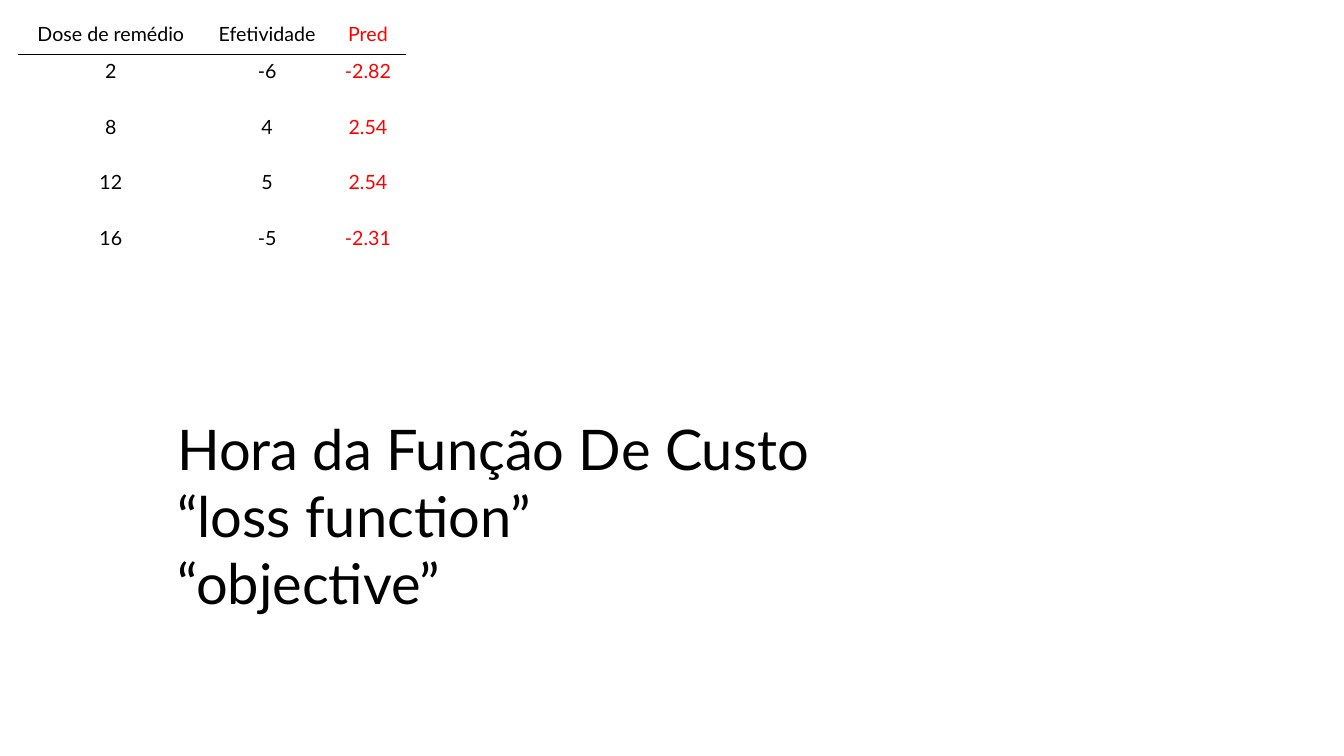
import pptx
import pptx.util
import pptx.dml.color
import pptx.enum.text
import pptx.oxml
import pptx.oxml.ns

Inches = pptx.util.Inches
Pt = pptx.util.Pt
BLACK = pptx.dml.color.RGBColor(0, 0, 0)
RED = pptx.dml.color.RGBColor(255, 0, 0)
FONT = "Lato"

DOSES = [
    ("Dose de remédio", "Efetividade", "Pred"),
    ("2", "-6", "-2.82"),
    ("8", "4", "2.54"),
    ("12", "5", "2.54"),
    ("16", "-5", "-2.31"),
]
WIDTHS = (1.84, 1.26, 0.74)
HEAD = 0.37
ROW = 0.55


def style(para, size, color):
    para.font.name = FONT
    para.font.size = Pt(size)
    para.font.color.rgb = color


def rule(cell, side):
    line = pptx.oxml.parse_xml(
        f'<a:{side} {pptx.oxml.ns.nsdecls("a")} w="{Pt(1)}">'
        f'<a:solidFill><a:srgbClr val="{BLACK}"/></a:solidFill></a:{side}>'
    )
    cell._tc.get_or_add_tcPr().insert(0, line)


def dose_table(slide, left, top, width, height):
    frame = slide.shapes.add_table(
        len(DOSES), len(WIDTHS),
        Inches(left), Inches(top), Inches(width), Inches(height))
    table = frame.table
    table.first_row = False
    table.horz_banding = False
    for col, size in zip(table.columns, WIDTHS):
        col.width = Inches(size)
    for r, values in enumerate(DOSES):
        table.rows[r].height = Inches(ROW if r else HEAD)
        for c, value in enumerate(values):
            cell = table.cell(r, c)
            cell.text = value
            cell.fill.background()
            para = cell.text_frame.paragraphs[0]
            para.alignment = pptx.enum.text.PP_ALIGN.CENTER
            style(para, 14, RED if c == 2 else BLACK)
            if r < 2:
                rule(cell, "lnT" if r else "lnB")


def loss_text(slide, left, top, width, height):
    box = slide.shapes.add_textbox(
        Inches(left), Inches(top), Inches(width), Inches(height))
    frame = box.text_frame
    frame.word_wrap = False
    frame.auto_size = pptx.enum.text.MSO_AUTO_SIZE.SHAPE_TO_FIT_TEXT
    frame.paragraphs[0].text = "Hora da Função De Custo"
    frame.add_paragraph().text = "“loss function”\v“objective”"
    for para in frame.paragraphs:
        style(para, 40, BLACK)


deck = pptx.Presentation()
deck.slide_width = Inches(13.33)
deck.slide_height = Inches(7.5)
slide = deck.slides.add_slide(deck.slide_layouts[6])
loss_text(slide, 1.66, 4.06, 7.12, 2.12)
dose_table(slide, 0.18, 0.17, sum(WIDTHS), HEAD + 4 * ROW)
deck.save("out.pptx")
